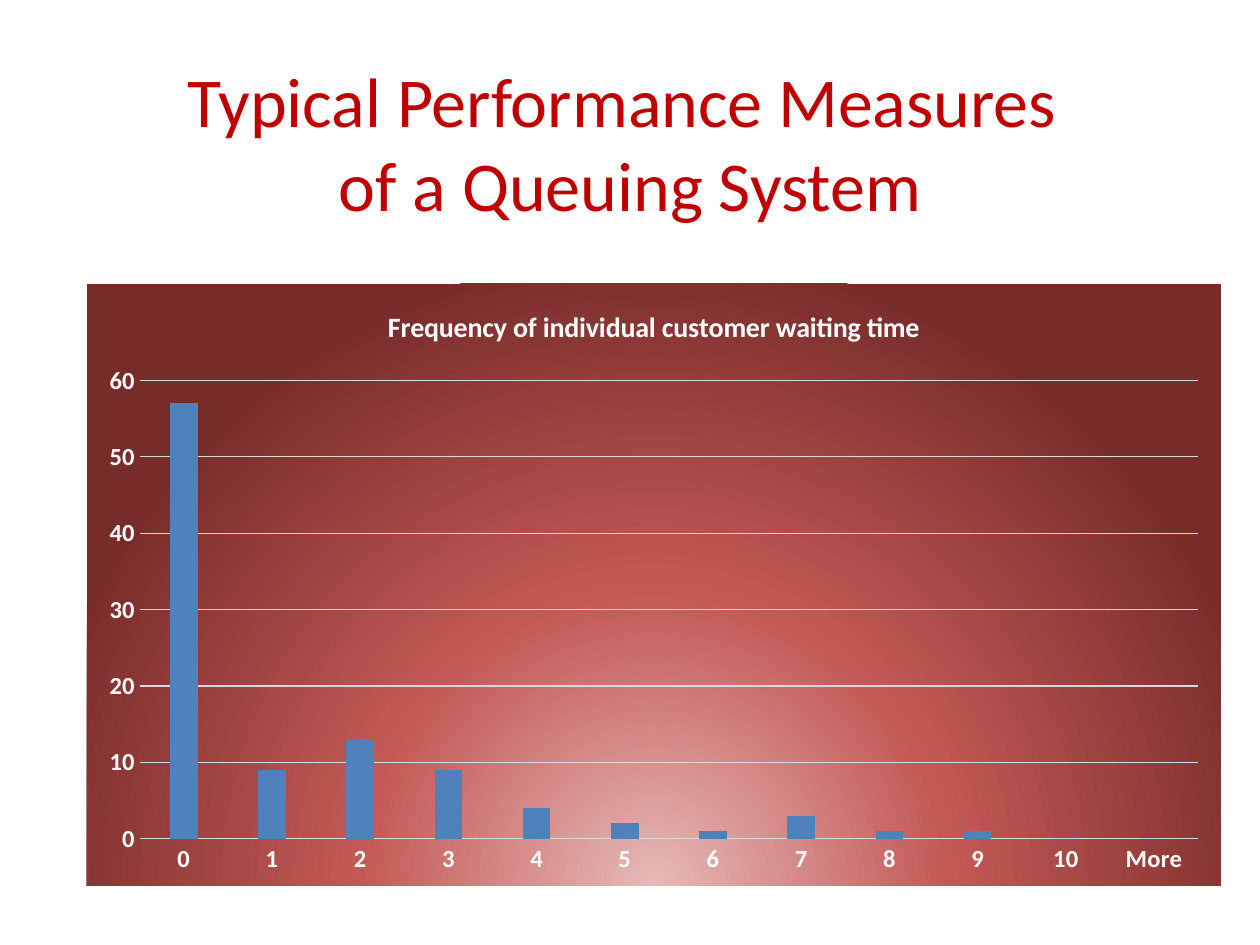
from lxml.etree import SubElement
from pptx import Presentation
from pptx.chart.data import CategoryChartData
from pptx.dml.color import RGBColor
from pptx.enum.chart import XL_CHART_TYPE, XL_TICK_MARK
from pptx.enum.text import MSO_ANCHOR, MSO_AUTO_SIZE, PP_ALIGN
from pptx.oxml import parse_xml
from pptx.oxml.ns import nsdecls, qn
from pptx.util import Cm, Pt

COLORS = {
    "title": "C00000",
    "label": "FFFFFF",
    "text": "000000",
    "line": "D9D9D9",
    "bar": "4F81BD",
    "glow": "E6B9B8",
    "middle": "C35956",
    "edge": "772C2A",
}
FONT = "Calibri"
WAITING_TIMES = [*map(str, range(11)), "More"]
FREQUENCIES = [57, 9, 13, 9, 4, 2, 1, 3, 1, 1, 0, 0]


def set_attributes(target, values):
    """Set each named value on the target."""
    for name, value in values.items():
        setattr(target, name, value)


def format_font(font, size, color, bold=False):
    """Apply the deck font with a size, colour and weight."""
    set_attributes(font, {"name": FONT, "size": Pt(size), "bold": bold})
    font.color.rgb = RGBColor.from_string(COLORS[color])


def format_line(line):
    """Give a chart line its thin light stroke."""
    line.color.rgb = RGBColor.from_string(COLORS["line"])
    line.width = Pt(0.75)


def fill_title(box, text):
    """Place and format the slide title."""
    set_attributes(box, {"left": Cm(1.75), "top": Cm(1.02),
                         "width": Cm(21.9), "height": Cm(3.68)})
    frame = box.text_frame
    set_attributes(frame, {"word_wrap": True, "auto_size": MSO_AUTO_SIZE.NONE,
                           "vertical_anchor": MSO_ANCHOR.MIDDLE})
    para = frame.paragraphs[0]
    para.text = text
    para.alignment = PP_ALIGN.CENTER
    for span in para.runs:
        format_font(span.font, 40, "title")


def fill_chart_background(chart):
    """Fill the chart area with a radial gradient centred below it."""
    area = parse_xml(f"<c:spPr {nsdecls('c', 'a')}/>")
    gradient = SubElement(area, qn("a:gradFill"), rotWithShape="1")
    stops = SubElement(gradient, qn("a:gsLst"))
    for percent, color in ((0, "glow"), (46, "middle"), (100, "edge")):
        stop = SubElement(stops, qn("a:gs"), pos=str(percent * 1000))
        SubElement(stop, qn("a:srgbClr"), val=COLORS[color])
    shade = SubElement(gradient, qn("a:path"))
    shade.set("path", "circle")
    SubElement(shade, qn("a:fillToRect"), l="50000", t="130000", r="50000", b="-30000")
    SubElement(SubElement(area, qn("a:ln")), qn("a:noFill"))
    chart.element.find(qn("c:chart")).addnext(area)


def format_axes(chart):
    """Style both axes and the horizontal gridlines."""
    for axis in (chart.category_axis, chart.value_axis):
        set_attributes(axis, {"major_tick_mark": XL_TICK_MARK.NONE,
                              "minor_tick_mark": XL_TICK_MARK.NONE})
        format_font(axis.tick_labels.font, 14, "label", bold=True)
    format_line(chart.category_axis.format.line)
    values = chart.value_axis
    set_attributes(values, {"minimum_scale": 0, "maximum_scale": 60, "major_unit": 10,
                            "has_major_gridlines": True})
    values.format.line.fill.background()
    format_line(values.major_gridlines.format.line)


def add_column_chart(page, title):
    """Add the waiting time column chart."""
    data = CategoryChartData()
    data.categories = WAITING_TIMES
    data.add_series("Series 1", FREQUENCIES)
    chart = page.shapes.add_chart(XL_CHART_TYPE.COLUMN_CLUSTERED, Cm(1.75), Cm(5.72),
                                  Cm(22.86), Cm(12.14), data).chart
    format_font(chart.font, 10, "text")
    set_attributes(chart, {"has_legend": False, "has_title": True})
    para = chart.chart_title.text_frame.paragraphs[0]
    span = para.add_run()
    span.text = title
    format_font(span.font, 16, "label", bold=True)
    chart.chart_title.include_in_layout = False
    plot = chart.plots[0]
    set_attributes(plot, {"gap_width": 219, "overlap": -27, "vary_by_categories": False})
    fill = plot.series[0].format.fill
    fill.solid()
    fill.fore_color.rgb = RGBColor.from_string(COLORS["bar"])
    format_axes(chart)
    fill_chart_background(chart)


def main():
    """Build and save the deck."""
    deck = Presentation()
    set_attributes(deck, {"slide_width": Cm(25.4), "slide_height": Cm(19.05)})
    page = deck.slides.add_slide(deck.slide_layouts[5])
    fill_title(page.shapes.title, "Typical Performance Measures \nof a Queuing System")
    add_column_chart(page, "Frequency of individual customer waiting time")
    deck.save("out.pptx")


if __name__ == "__main__":
    main()
